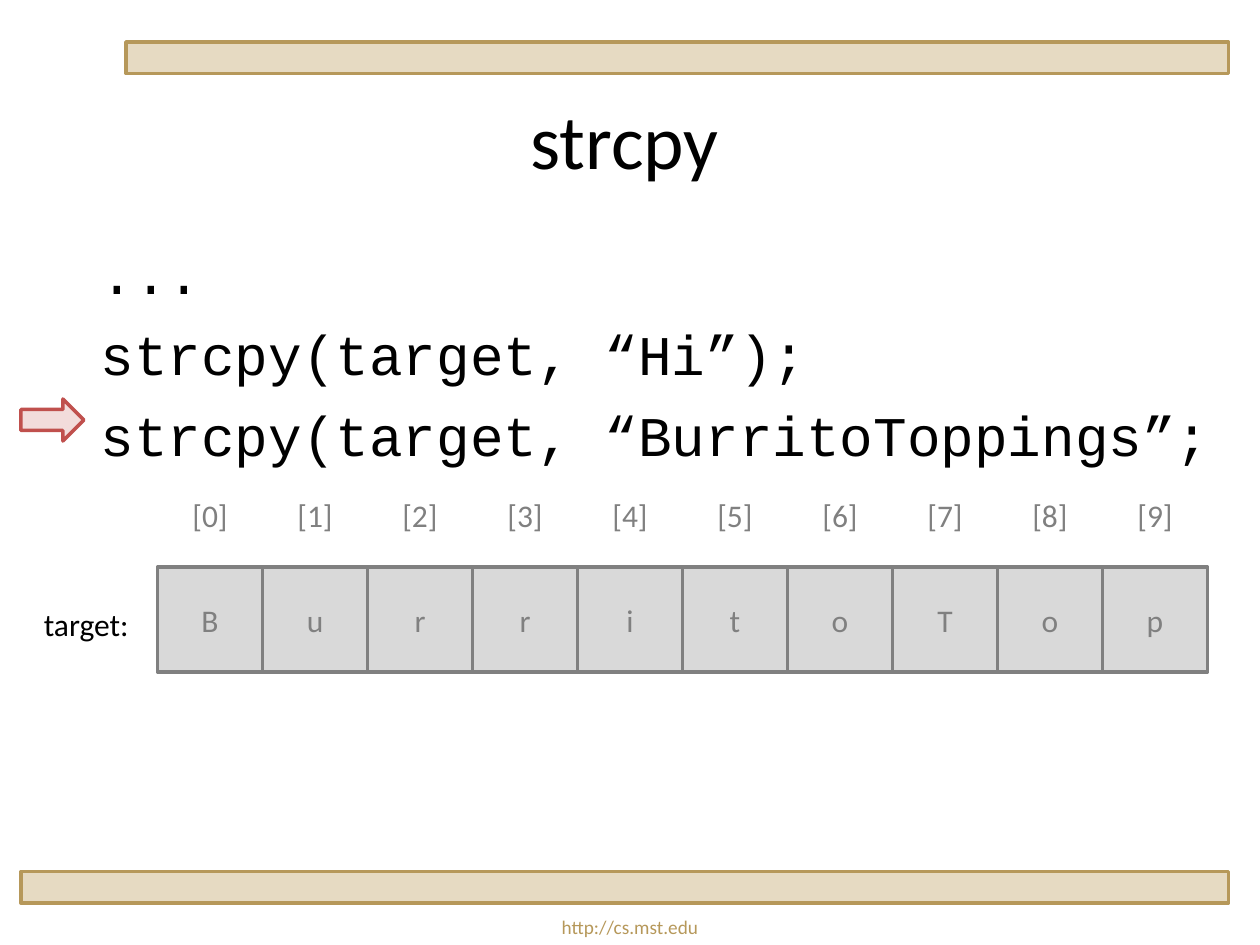
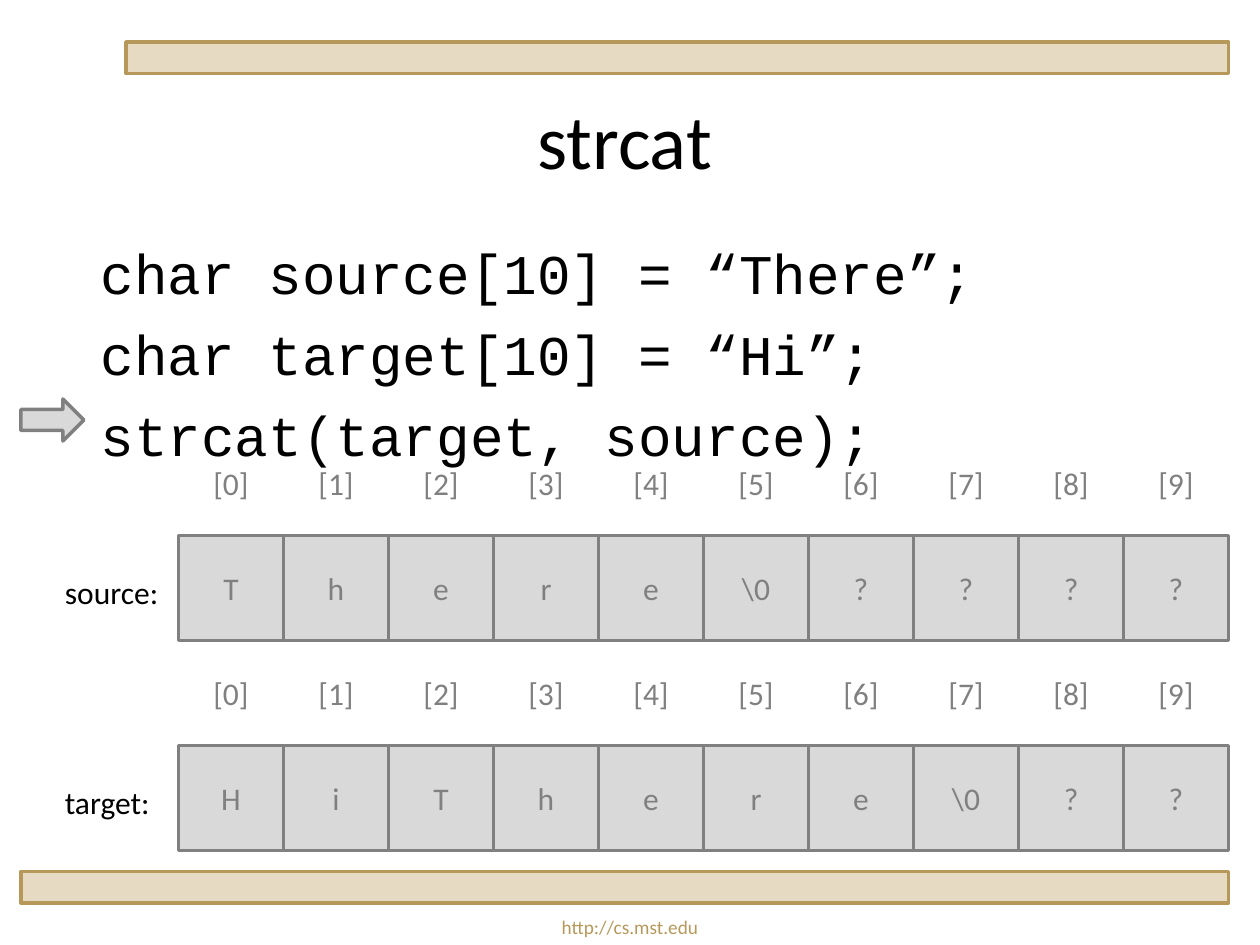
from dataclasses import dataclass

from pptx import Presentation
from pptx.dml.color import RGBColor
from pptx.enum.shapes import MSO_SHAPE
from pptx.enum.text import MSO_ANCHOR, MSO_AUTO_SIZE, PP_ALIGN
from pptx.util import Cm, Pt

RECTANGLE, RIGHT_ARROW = MSO_SHAPE.RECTANGLE, MSO_SHAPE.RIGHT_ARROW
TOP, MIDDLE = MSO_ANCHOR.TOP, MSO_ANCHOR.MIDDLE
LEFT, CENTER = PP_ALIGN.LEFT, PP_ALIGN.CENTER
TITLE_ONLY = 5


@dataclass(frozen=True)
class Theme:
    # Colours
    ink: str = "000000"
    gold: str = "B6985A"
    sand: str = "E6DAC2"
    grey: str = "808080"
    silver: str = "D9D9D9"
    red: str = "C0504D"
    pink: str = "F2DCDB"
    # Fonts and sizes in points
    sans: str = "Calibri"
    mono: str = "Courier New"
    title_size: int = 44
    code_size: int = 32
    cell_size: int = 18
    footer_size: int = 11
    line_width: int = 2
    code_gap: int = 8


THEME = Theme()
CELL = 10  # side of an array cell, in grid steps


def grid(*steps):
    """Turn grid steps (twelve to the page's base unit of 2.54 cm) into lengths."""
    return [Cm(step * 2.54 / 12) for step in steps]


def write(shape, lines, size, color, align=CENTER, anchor=MIDDLE,
          font=THEME.sans, gap=0, wrap=True):
    """Fill a shape with paragraphs of one style; gap separates them."""
    frame = shape.text_frame
    frame.auto_size = MSO_AUTO_SIZE.NONE
    frame.word_wrap = wrap
    frame.vertical_anchor = anchor
    for number, line in enumerate(lines):
        para = frame.add_paragraph() if number else frame.paragraphs[0]
        para.text = line
        para.alignment = align
        para.space_before = Pt(gap if number else 0)
        para.font.name = font
        para.font.size = Pt(size)
        para.font.color.rgb = RGBColor.from_string(color)


def add_text(page, place, lines, size, color, **style):
    box = page.shapes.add_textbox(*grid(*place))
    write(box, lines, size, color, **style)
    return box


def add_outlined(page, kind, place, fill, line):
    shape = page.shapes.add_shape(kind, *grid(*place))
    shape.shadow.inherit = False
    shape.fill.solid()
    shape.fill.fore_color.rgb = RGBColor.from_string(fill)
    shape.line.color.rgb = RGBColor.from_string(line)
    shape.line.width = Pt(THEME.line_width)
    return shape


def add_page(deck, title):
    """Add a page with the shared bands, footer and title."""
    page = deck.slides.add_slide(deck.slide_layouts[TITLE_ONLY])
    for band in ((12, 4, 105, 3), (2, 83, 115, 3)):
        add_outlined(page, RECTANGLE, band, THEME.sand, THEME.gold)
    add_text(page, (0, 86.5, 120, 3.5), ["http://cs.mst.edu"],
             THEME.footer_size, THEME.gold)
    heading = page.shapes.title
    heading.left, heading.top, heading.width, heading.height = grid(2, 8, 115, 10.5)
    write(heading, [title], THEME.title_size, THEME.ink)
    return page


def add_code(page, lines, arrow_fill, arrow_line):
    """Add the code listing and the arrow at its third line."""
    box = add_text(page, (2, 21, 115, 59.5), lines, THEME.code_size, THEME.ink,
                   align=LEFT, anchor=TOP, font=THEME.mono, gap=THEME.code_gap)
    box.text_frame.margin_top = Cm(0.36)
    add_outlined(page, RIGHT_ARROW, (2, 38, 6, 4), arrow_fill, arrow_line)


def add_array(page, name, values, left, top, label_width):
    """Add a row of cells with the indices above and the name at the left."""
    for index, value in enumerate(values):
        x = left + index * CELL
        cell = add_outlined(page, RECTANGLE, (x, top, CELL, CELL),
                            THEME.silver, THEME.grey)
        write(cell, [value], THEME.cell_size, THEME.grey)
        add_text(page, (x, top - CELL, CELL, CELL), [f"[{index}]"],
                 THEME.cell_size, THEME.grey)
    add_text(page, (left - 12, top + 3, label_width, 4.8), [f"{name}:"],
             THEME.cell_size, THEME.ink, align=LEFT, anchor=TOP, wrap=False)


def main():
    deck = Presentation()
    deck.slide_width, deck.slide_height = grid(120, 90)

    # Copying past the end of the target
    page = add_page(deck, "strcpy")
    add_code(page, ["  ...",
                    "  strcpy(target, “Hi”);",
                    "  strcpy(target, “BurritoToppings”;"],
             THEME.pink, THEME.red)
    add_array(page, "target", "BurritoTop", 15, 54, 10.6)

    # Appending the source to the target
    page = add_page(deck, "strcat")
    add_code(page, ["  char source[10] = “There”;",
                    "  char target[10] = “Hi”;",
                    "  strcat(target, source);"],
             THEME.silver, THEME.grey)
    add_array(page, "source", [*"There", "\\0", *"????"], 17, 51, 11.4)
    add_array(page, "target", [*"HiThere", "\\0", *"??"], 17, 71, 10.6)

    deck.save("out.pptx")


if __name__ == "__main__":
    main()
